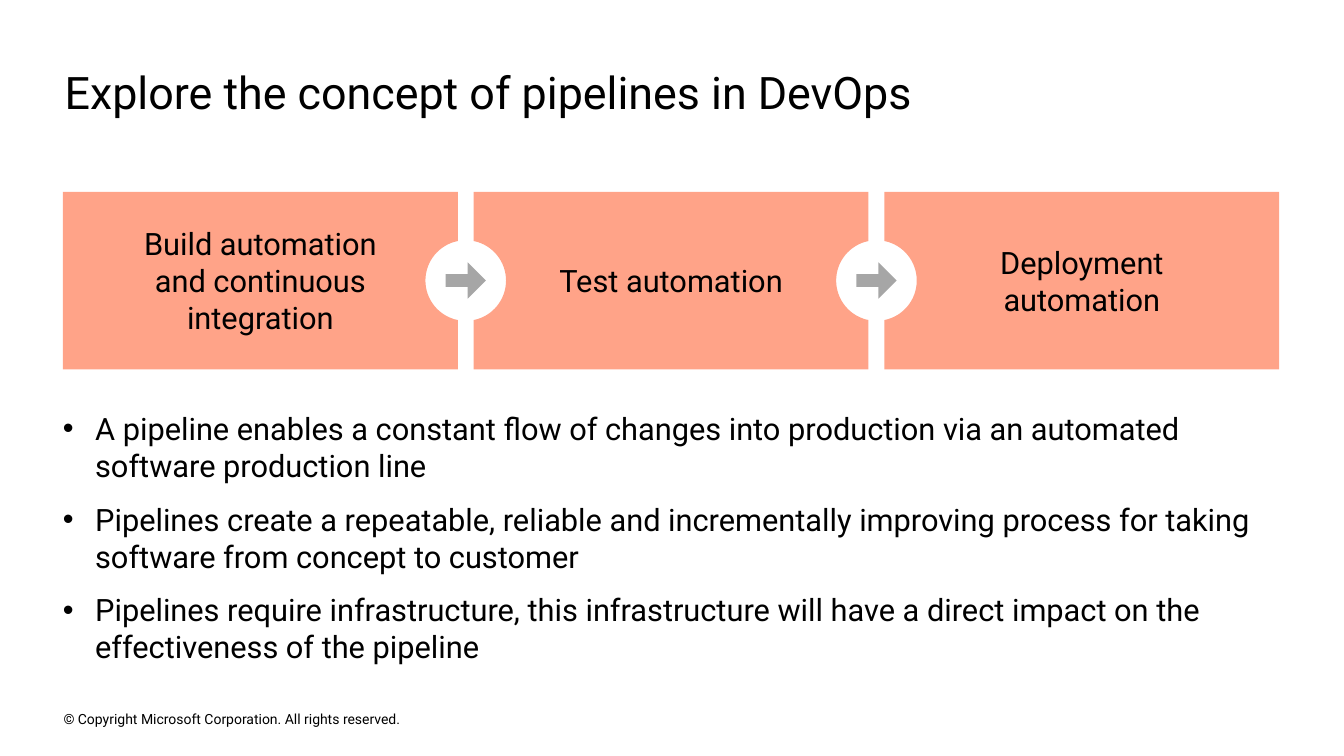
from math import acos, cos, sin, tan
from pptx import Presentation
from pptx.dml.color import RGBColor
from pptx.enum.shapes import MSO_SHAPE
from pptx.enum.text import MSO_ANCHOR, PP_ALIGN
from pptx.oxml.ns import qn
from pptx.util import Pt
from lxml.etree import SubElement

theme = {
    "font": "Roboto",
    "ink": RGBColor(0x00, 0x00, 0x00),
    "card": RGBColor(0xFF, 0xA3, 0x88),
    "arrow": RGBColor(0xA6, 0xA6, 0xA6),
    "title": Pt(32),
    "body": Pt(22),
    "foot": Pt(10),
}


def style(frame, size, pad_x=0, pad_y=0):
    frame.word_wrap = True
    frame.margin_left = frame.margin_right = Pt(pad_x)
    frame.margin_top = frame.margin_bottom = Pt(pad_y)
    for para in frame.paragraphs:
        for run in para.runs:
            run.font.name = theme["font"]
            run.font.size = size
            run.font.color.rgb = theme["ink"]


def paint(shape, color):
    shape.fill.solid()
    shape.fill.fore_color.rgb = color
    shape.line.fill.background()
    shape.shadow.inherit = False


deck = Presentation()
deck.slide_width, deck.slide_height = Pt(960), Pt(540)
slide = deck.slides.add_slide(deck.slide_layouts[6])
shapes = slide.shapes

foot = shapes.add_textbox(Pt(45.4), Pt(505.4), Pt(327), Pt(15.8)).text_frame
foot.text = "© Copyright Microsoft Corporation. All rights reserved."
foot.vertical_anchor = MSO_ANCHOR.MIDDLE
style(foot, theme["foot"])

title = shapes.add_textbox(Pt(46.2), Pt(46), Pt(867), Pt(39)).text_frame
title.text = "Explore the concept of pipelines in DevOps"
style(title, theme["title"])

steps = [
    "Build automation\vand continuous integration",
    "Test automation",
    "Deployment\vautomation",
]
left, top, width, height, gap = 45, 137, 282, 126.8, 11.4
radius = 28.8
middle = top + height / 2
bottom = top + height
angle = acos(gap / 2 / radius)
pull = 4 / 3 * tan(angle / 4)
rise = radius * sin(angle)

for index, step in enumerate(steps):
    start = left + index * (width + gap)
    end = start + width
    before, after = start - gap / 2, end + gap / 2
    last = index == len(steps) - 1

    points = [(end, top)]
    arcs = []
    if not last:
        points += [(end, middle - rise), (end, middle + rise)]
        arcs.append((len(points), after, 1))
    points += [(end, bottom), (start, bottom)]
    if index:
        points += [(start, middle + rise), (start, middle - rise)]
        arcs.append((len(points), before, -1))

    outline = shapes.build_freeform(Pt(start), Pt(top))
    outline.add_line_segments([(Pt(x), Pt(y)) for x, y in points], close=True)
    card = outline.convert_to_shape()

    track = card._element.find(".//" + qn("a:path"))
    for place, center, side in reversed(arcs):
        track.remove(track[place])
        for half, (first, final) in enumerate([(-angle, 0), (0, angle)]):
            curve = SubElement(track, qn("a:cubicBezTo"))
            for turn, slide_by in [(first, pull), (final, -pull), (final, 0)]:
                x = center - side * radius * (cos(turn) - slide_by * sin(turn))
                y = middle + side * radius * (sin(turn) + slide_by * cos(turn))
                spot = SubElement(curve, qn("a:pt"))
                spot.set("x", str(Pt(x - start)))
                spot.set("y", str(Pt(y - top)))
            track.insert(place + half, curve)

    paint(card, theme["card"])
    frame = card.text_frame
    frame.text = step
    frame.vertical_anchor = MSO_ANCHOR.MIDDLE
    frame.paragraphs[0].alignment = PP_ALIGN.CENTER
    style(frame, theme["body"], 14.4, 11.5)

    if not last:
        arrow = shapes.add_shape(
            MSO_SHAPE.RIGHT_ARROW, Pt(after - 14.4), Pt(middle - 13), Pt(28.8), Pt(26)
        )
        arrow.adjustments[0] = 0.35
        arrow.adjustments[1] = 0.5
        paint(arrow, theme["arrow"])

notes = [
    "A pipeline enables a constant flow of changes into production via an automated software production line",
    "Pipelines create a repeatable, reliable and incrementally improving process for taking software from concept to customer",
    "Pipelines require infrastructure, this infrastructure will have a direct impact on the effectiveness of the pipeline",
]
body = shapes.add_textbox(Pt(45), Pt(292.6), Pt(869), Pt(184)).text_frame
body.text = "\n".join(notes)
for para in body.paragraphs:
    props = para._p.get_or_add_pPr()
    props.set("marL", str(Pt(23)))
    props.set("indent", str(-Pt(23)))
    SubElement(props, qn("a:buFont")).set("typeface", "Arial")
    SubElement(props, qn("a:buChar")).set("char", "•")
    para.space_after = Pt(12)
style(body, theme["body"])

deck.save("out.pptx")
